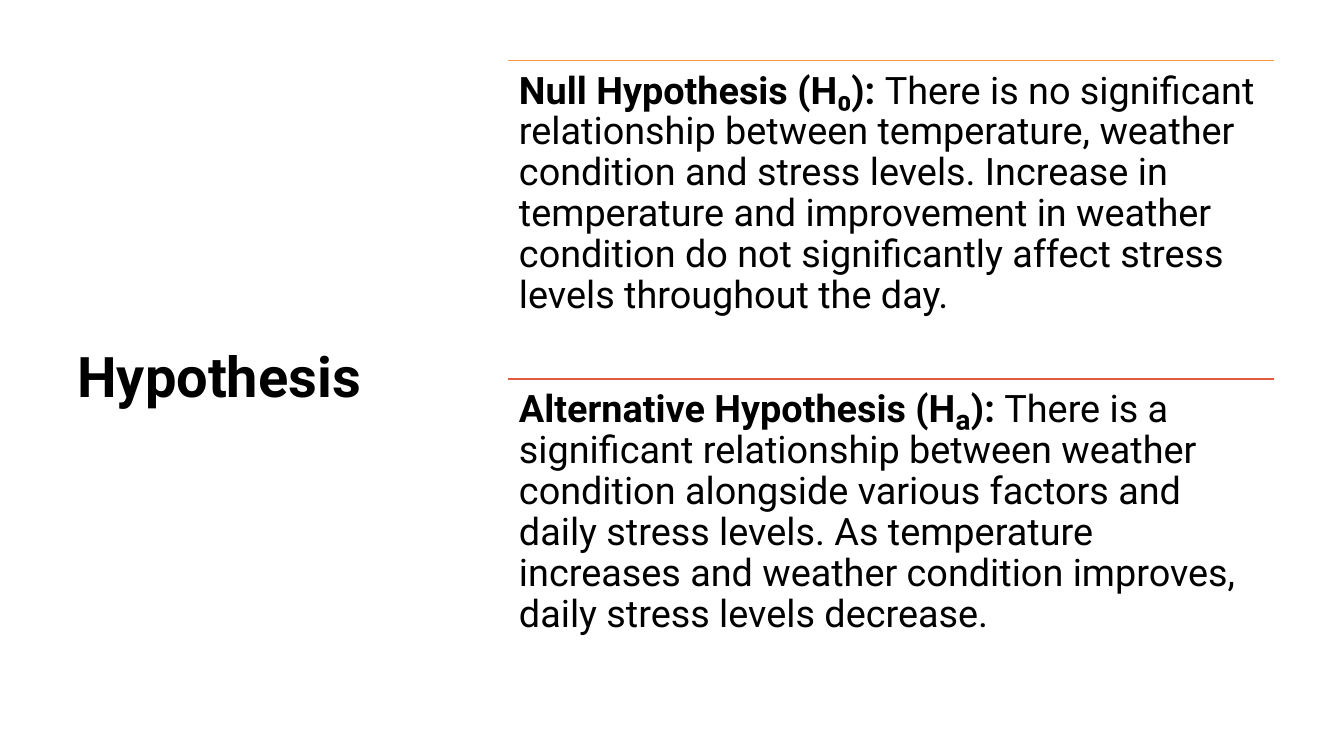
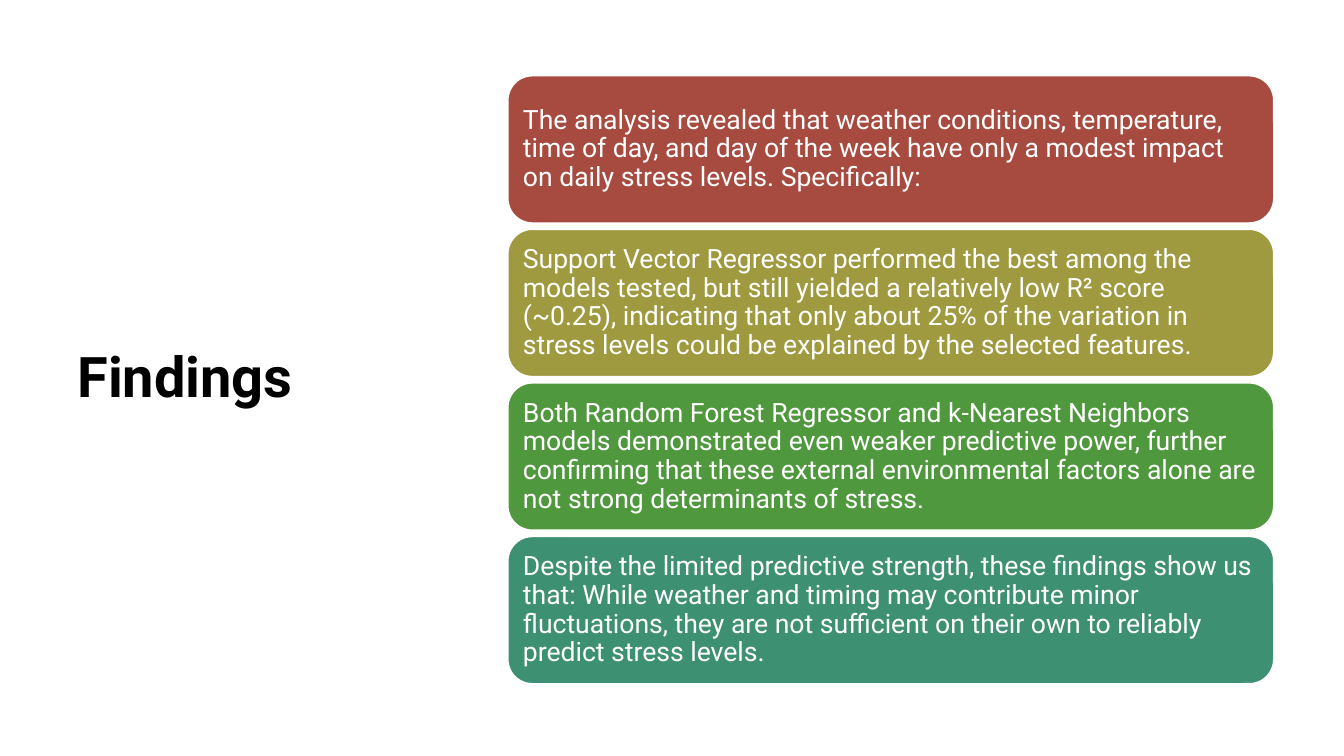
from dataclasses import dataclass

from lxml.etree import SubElement
from pptx import Presentation
from pptx.dml.color import RGBColor
from pptx.enum.shapes import MSO_CONNECTOR, MSO_SHAPE
from pptx.enum.text import MSO_ANCHOR, MSO_AUTO_SIZE, PP_ALIGN
from pptx.oxml.ns import qn
from pptx.util import Cm, Pt


@dataclass(frozen=True)
class Theme:
    font: str = "Roboto"
    text: str = "000000"
    light: str = "FFFFFF"
    rules: tuple = ("FA9A42", "E15C3D")
    cards: tuple = ("A74B40", "9F9A3F", "50983E", "3D9072")
    title_size: int = 40
    statement_size: int = 27
    card_size: int = 19
    line_width: int = 1
    line_spacing: float = 0.9


THEME = Theme()

CONTENT_LEFT, CONTENT_WIDTH = 12.8, 19.3
CONTENT_TOP = 1.52
STATEMENT_HEIGHT = 8.03
CARD_TOP, CARD_HEIGHT, CARD_GAP = 1.91, 3.71, 0.16

HYPOTHESES = [
    ("Null Hypothesis (H₀): ",
     "There is no significant relationship between temperature, weather "
     "condition and stress levels. Increase in temperature and improvement in "
     "weather condition do not significantly affect stress levels throughout "
     "the day."),
    ("Alternative Hypothesis (Hₐ): ",
     "There is a significant relationship between weather condition alongside "
     "various factors and daily stress levels. As temperature increases and "
     "weather condition improves, daily stress levels decrease."),
]

FINDINGS = [
    "The analysis revealed that weather conditions, temperature, time of day, "
    "and day of the week have only a modest impact on daily stress levels. "
    "Specifically:",
    "Support Vector Regressor performed the best among the models tested, but "
    "still yielded a relatively low R² score (~0.25), indicating that only "
    "about 25% of the variation in stress levels could be explained by the "
    "selected features.",
    "Both Random Forest Regressor and k-Nearest Neighbors models demonstrated "
    "even weaker predictive power, further confirming that these external "
    "environmental factors alone are not strong determinants of stress.",
    "Despite the limited predictive strength, these findings show us that: "
    "While weather and timing may contribute minor fluctuations, they are not "
    "sufficient on their own to reliably predict stress levels.",
]


def apply_format(target, values):
    for name, value in values.items():
        setattr(target, name, value)


def write_text(shape, runs, size, color, anchor, inset):
    """Fill a shape with one left-aligned paragraph of (text, bold) runs."""
    frame = shape.text_frame
    margins = ("margin_left", "margin_top", "margin_right", "margin_bottom")
    apply_format(frame, {
        "word_wrap": True,
        "auto_size": MSO_AUTO_SIZE.NONE,
        "vertical_anchor": anchor,
        **dict.fromkeys(margins, Cm(inset)),
    })
    paragraph = frame.paragraphs[0]
    apply_format(paragraph, {
        "alignment": PP_ALIGN.LEFT,
        "line_spacing": THEME.line_spacing,
    })
    for text, bold in runs:
        run = paragraph.add_run()
        run.text = text
        apply_format(run.font,
                     {"name": THEME.font, "size": Pt(size), "bold": bold})
        run.font.color.rgb = RGBColor.from_string(color)


def set_line(shape, color):
    shape.line.color.rgb = RGBColor.from_string(color)
    shape.line.width = Pt(THEME.line_width)


def add_titled_slide(presentation, title):
    slide = presentation.slides.add_slide(presentation.slide_layouts[5])
    shape = slide.shapes.title
    apply_format(shape, {"left": Cm(1.7), "top": Cm(CONTENT_TOP),
                         "width": Cm(9.7), "height": Cm(16.08)})
    write_text(shape, [(title, True)], THEME.title_size, THEME.text,
               MSO_ANCHOR.MIDDLE, 0.25)
    return slide


def add_rule(slide, top, color):
    rule = slide.shapes.add_connector(
        MSO_CONNECTOR.STRAIGHT, Cm(CONTENT_LEFT), Cm(top),
        Cm(CONTENT_LEFT + CONTENT_WIDTH), Cm(top))
    set_line(rule, color)
    SubElement(rule._element.spPr, qn("a:effectLst"))


def add_statement(slide, top, label, text, color):
    """Add a bold label and its text below a coloured rule."""
    add_rule(slide, top, color)
    box = slide.shapes.add_textbox(Cm(CONTENT_LEFT), Cm(top),
                                   Cm(CONTENT_WIDTH), Cm(STATEMENT_HEIGHT))
    write_text(box, [(label, True), (text, False)], THEME.statement_size,
               THEME.text, MSO_ANCHOR.TOP, 0.28)


def add_card(slide, top, text, color):
    card = slide.shapes.add_shape(
        MSO_SHAPE.ROUNDED_RECTANGLE, Cm(CONTENT_LEFT), Cm(top),
        Cm(CONTENT_WIDTH), Cm(CARD_HEIGHT))
    card.shadow.inherit = False
    card.fill.solid()
    card.fill.fore_color.rgb = RGBColor.from_string(color)
    set_line(card, THEME.light)
    write_text(card, [(text, False)], THEME.card_size, THEME.light,
               MSO_ANCHOR.MIDDLE, 0.2)


def add_hypothesis_slide(presentation):
    slide = add_titled_slide(presentation, "Hypothesis")
    for index, ((label, text), color) in enumerate(zip(HYPOTHESES, THEME.rules)):
        add_statement(slide, CONTENT_TOP + index * STATEMENT_HEIGHT,
                      label, text, color)


def add_findings_slide(presentation):
    slide = add_titled_slide(presentation, "Findings")
    for index, (text, color) in enumerate(zip(FINDINGS, THEME.cards)):
        add_card(slide, CARD_TOP + index * (CARD_HEIGHT + CARD_GAP), text, color)


def main():
    presentation = Presentation()
    apply_format(presentation,
                 {"slide_width": Cm(33.87), "slide_height": Cm(19.05)})
    add_hypothesis_slide(presentation)
    add_findings_slide(presentation)
    presentation.save("out.pptx")


if __name__ == "__main__":
    main()
